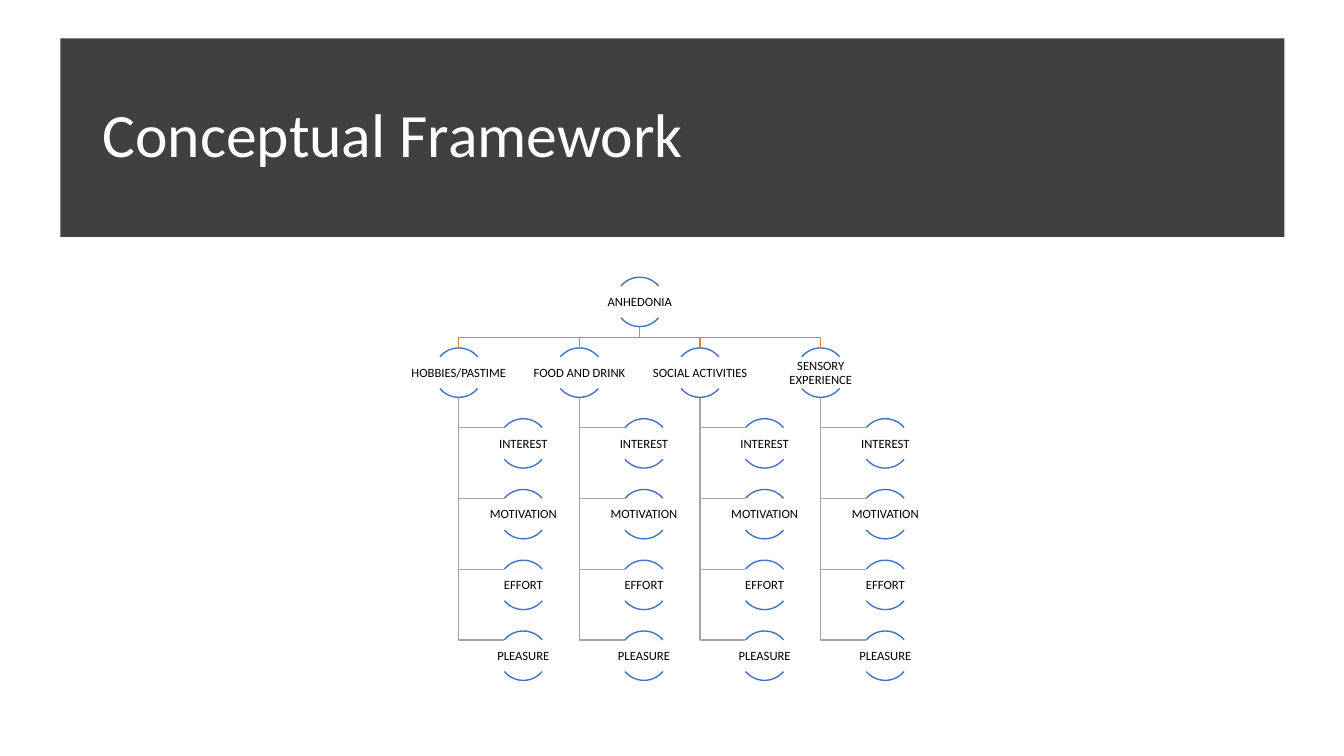
from pptx import Presentation
from pptx.dml.color import RGBColor
from pptx.enum.shapes import MSO_SHAPE
from pptx.enum.text import MSO_ANCHOR, PP_ALIGN
from pptx.util import Inches, Pt

RECT, ARC = MSO_SHAPE.RECTANGLE, MSO_SHAPE.ARC
MIDDLE, CENTER = MSO_ANCHOR.MIDDLE, PP_ALIGN.CENTER
COLORS = {name: RGBColor.from_string(code) for name, code in {
    "band": "404040", "title": "FFFFFF", "text": "000000",
    "arc": "4472C4", "branch": "ED7D31", "leaf": "A5A5A5"}.items()}

# Tree grid: one column per branch, one row per level
LEFT, COL = 4.55, 3.59 / 3
TOP, ROW = 2.75, 3.51 / 5
SIZE, SHIFT = 0.49, 0.64
BRANCHES = ["HOBBIES/PASTIME", "FOOD AND DRINK", "SOCIAL ACTIVITIES", "SENSORY EXPERIENCE"]
LEAVES = ["INTEREST", "MOTIVATION", "EFFORT", "PLEASURE"]
cols = [LEFT + i * COL for i in range(len(BRANCHES))]
rows = [TOP + i * ROW for i in range(len(LEAVES) + 2)]
root = (cols[0] + cols[-1]) / 2

prs = Presentation()
prs.slide_width, prs.slide_height = Inches(13.33), Inches(7.5)
slide = prs.slides.add_slide(prs.slide_layouts[6])
shapes = slide.shapes


def add_text(text, box, size, color, inset, align=None):
    label = shapes.add_textbox(*map(Inches, box))
    frame = label.text_frame
    frame.word_wrap = True
    frame.vertical_anchor = MIDDLE
    frame.margin_left = frame.margin_right = Inches(inset)
    frame.margin_top = frame.margin_bottom = Inches(min(inset, 0.05))
    para = frame.paragraphs[0]
    para.text = text
    para.alignment = align
    para.line_spacing = 0.9
    para.font.name, para.font.size = "Calibri", Pt(size)
    para.font.color.rgb = COLORS[color]


def add_path(points, color):
    start, *rest = [(Inches(x), Inches(y)) for x, y in points]
    pen = shapes.build_freeform(*start)
    pen.add_line_segments(rest, close=False)
    path = pen.convert_to_shape()
    path.shadow.inherit = False
    path.fill.background()
    path.line.color.rgb = COLORS[color]
    path.line.width = Pt(1)


# Title band
band = shapes.add_shape(RECT, Inches(0.6), Inches(0.38), Inches(12.14), Inches(1.97))
band.shadow.inherit = False
band.fill.solid()
band.fill.fore_color.rgb = COLORS["band"]
band.line.fill.background()
add_text("Conceptual Framework", (0.92, 0.64, 11.5, 1.45), 44, "title", 0.1)

# Lines from the root to each branch, and from each branch to its leaves
for x in reversed(cols):
    for y in reversed(rows[2:]):
        hook = y + 0.09
        add_path([(x, rows[1] + SIZE), (x, hook), (x + 0.45, hook)], "leaf")
    bus = (rows[0] + SIZE + rows[1]) / 2
    add_path([(root, rows[0] + SIZE), (root, bus), (x, bus), (x, rows[1])], "branch")

# Nodes: centre, top and label
nodes = [(root, rows[0], "ANHEDONIA")]
for x, branch in zip(cols, BRANCHES):
    nodes.append((x, rows[1], branch))
    nodes += [(x + SHIFT, y, leaf) for y, leaf in zip(rows[2:], LEAVES)]

for x, y, name in nodes:
    for first, last in [(132, 192), (24, 84)]:
        arc = shapes.add_shape(ARC, Inches(x - SIZE / 2), Inches(y), Inches(SIZE), Inches(SIZE))
        arc.adjustments[0], arc.adjustments[1] = first, last
        arc.shadow.inherit = False
        arc.fill.background()
        arc.line.color.rgb = COLORS["arc"]
        arc.line.width = Pt(1)
    add_text(name, (x - 0.99 / 2, y + 0.09, 0.99, 0.32), 9, "text", 0.01, CENTER)

prs.save("out.pptx")
